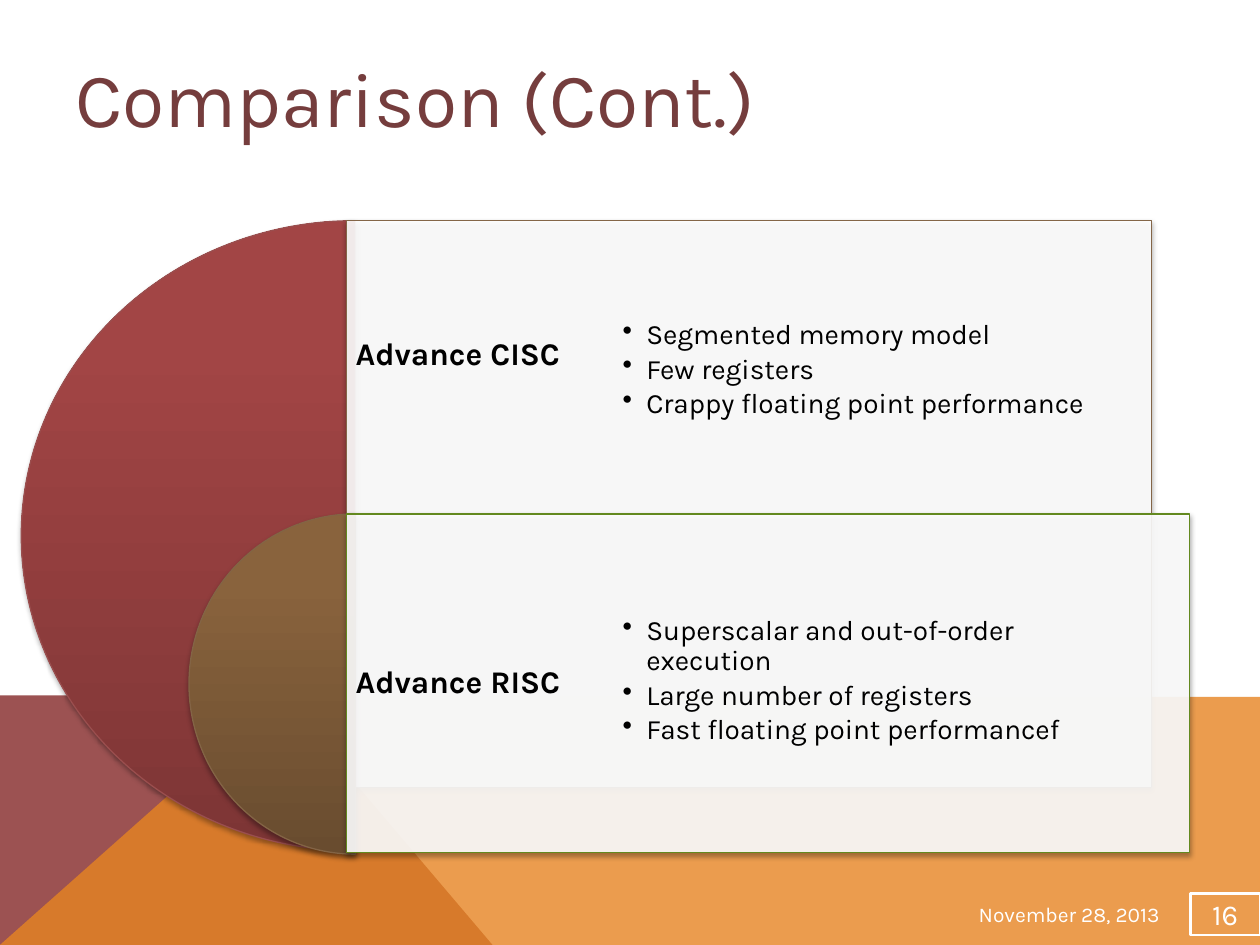
import pptx
import pptx.dml.color
import pptx.enum.shapes
import pptx.enum.text
import pptx.oxml
import pptx.oxml.ns
import pptx.util
from lxml import etree

Cm = pptx.util.Cm
Pt = pptx.util.Pt
RGBColor = pptx.dml.color.RGBColor
MSO_SHAPE = pptx.enum.shapes.MSO_SHAPE
ANCHOR = pptx.enum.text.MSO_ANCHOR
ALIGN = pptx.enum.text.PP_ALIGN
qn = pptx.oxml.ns.qn

WHITE = RGBColor(0xFF, 0xFF, 0xFF)
BLACK = RGBColor(0x00, 0x00, 0x00)
TITLE_RED = RGBColor(0x75, 0x3D, 0x3D)
WINE = RGBColor(0x9C, 0x52, 0x52)
ORANGE = RGBColor(0xE6, 0x84, 0x22)
RED_LINE = RGBColor(0x9A, 0x4E, 0x4E)
BROWN_LINE = RGBColor(0x83, 0x64, 0x45)
CISC_BORDER = RGBColor(0x84, 0x66, 0x48)
RISC_BORDER = RGBColor(0x63, 0x89, 0x1F)
RED_STOPS = ((0, RGBColor(0x7D, 0x35, 0x35)), (80, RGBColor(0xA2, 0x45, 0x45)),
             (100, RGBColor(0xA4, 0x43, 0x43)))
BROWN_STOPS = ((0, RGBColor(0x69, 0x4C, 0x2F)), (80, RGBColor(0x89, 0x63, 0x3D)),
               (100, RGBColor(0x8B, 0x63, 0x3C)))


class SlideBuilder:
    font = "Karla"

    def __init__(self, slide):
        self.shapes = slide.shapes

    def color(self, parent, rgb, opacity=100):
        color = etree.SubElement(parent, qn("a:srgbClr"), val=str(rgb))
        etree.SubElement(color, qn("a:alpha"), val=str(opacity * 1000))

    def solid(self, shape, rgb, opacity):
        shape.fill.solid()
        shape.fill.fore_color.rgb = rgb
        solid_color = shape._element.spPr.find(qn("a:solidFill"))[0]
        etree.SubElement(solid_color, qn("a:alpha"), val=str(opacity * 1000))

    def outline(self, shape, rgb, width):
        shape.line.color.rgb = rgb
        shape.line.width = Pt(width)

    def drop_shadow(self, shape):
        shape.shadow.inherit = False
        effects = shape._element.spPr.find(qn("a:effectLst"))
        shadow = etree.SubElement(
            effects, qn("a:outerShdw"), blurRad=str(Pt(3.1)), dist=str(Pt(1.8)),
            dir="5400000", rotWithShape="0")
        self.color(shadow, BLACK, 35)

    def backdrop(self, points, rgb, opacity=100):
        start, *others = [(Cm(x), Cm(y)) for x, y in points]
        outline = self.shapes.build_freeform(*start)
        outline.add_line_segments(others, close=True)
        shape = outline.convert_to_shape()
        shape.shadow.inherit = False
        shape.line.fill.background()
        self.solid(shape, rgb, opacity)

    def half_disc(self, box, stops, border):
        disc = self.shapes.add_shape(MSO_SHAPE.PIE, *map(Cm, box))
        disc.adjustments[0] = 54
        disc.adjustments[1] = 162
        disc.fill.gradient()
        disc.fill.gradient_angle = 90
        stop_list = disc._element.spPr.find(qn("a:gradFill")).find(qn("a:gsLst"))
        for old_stop in list(stop_list):
            stop_list.remove(old_stop)
        for position, rgb in stops:
            stop = etree.SubElement(stop_list, qn("a:gs"), pos=str(position * 1000))
            self.color(stop, rgb)
        self.outline(disc, border, 0.75)
        self.drop_shadow(disc)

    def panel(self, box, border):
        panel = self.shapes.add_shape(MSO_SHAPE.RECTANGLE, *map(Cm, box))
        self.solid(panel, WHITE, 90)
        self.outline(panel, border, 0.75)
        self.drop_shadow(panel)

    def fill_text(self, shape, lines, size, rgb, bold=False, anchor=ANCHOR.MIDDLE,
                  inset=(0.25, 0.13), align=ALIGN.LEFT, spacing=1.0, bullets=False):
        frame = shape.text_frame
        frame.word_wrap = True
        frame.vertical_anchor = anchor
        frame.margin_left = frame.margin_right = Cm(inset[0])
        frame.margin_top = frame.margin_bottom = Cm(inset[1])
        frame.text = "\n".join(lines)
        for paragraph in frame.paragraphs:
            paragraph.alignment = align
            paragraph.line_spacing = spacing
            if bullets:
                paragraph.space_after = Pt(2.4)
                properties = paragraph._p.get_or_add_pPr()
                properties.set("marL", str(Cm(0.48)))
                properties.set("indent", str(-Cm(0.48)))
                etree.SubElement(properties, qn("a:buChar"), char="•")
            for run in paragraph.runs:
                run.font.name = self.font
                run.font.size = Pt(size)
                run.font.bold = bold
                run.font.color.rgb = rgb

    def text(self, box, lines, size, rgb, **style):
        self.fill_text(self.shapes.add_textbox(*map(Cm, box)), lines, size, rgb, **style)

    def heading(self, box, label):
        self.text(box, [label], 18, BLACK, bold=True, inset=(0.18, 0.18), spacing=0.9)

    def bullet_list(self, box, items):
        self.text(box, items, 16, BLACK, inset=(0.69, 0.69), spacing=0.9, bullets=True)

    def page_number(self, box, number):
        frame = self.shapes.add_shape(MSO_SHAPE.RECTANGLE, *map(Cm, box))
        frame.shadow.inherit = False
        frame.fill.background()
        self.outline(frame, WHITE, 1.5)
        self.fill_text(frame, [number], 16.5, WHITE, inset=(0.03, 0.03),
                       align=ALIGN.CENTER)


def main():
    deck = pptx.Presentation()
    deck.slide_width, deck.slide_height = Cm(25.4), Cm(19.05)
    page = SlideBuilder(deck.slides.add_slide(deck.slide_layouts[6]))

    page.backdrop([(0, 19.05), (0, 14.02), (5.66, 14.02), (9.93, 19.05)], WINE)
    page.backdrop([(0, 19.05), (5.66, 14.02), (25.4, 14.05), (25.4, 19.05)], ORANGE, 80)

    panel_left, cisc_top, risc_top = 6.99, 4.45, 10.36
    page.half_disc((0.43, cisc_top, 13.44, 12.7), RED_STOPS, RED_LINE)
    page.panel((panel_left, cisc_top, 16.23, 11.43), CISC_BORDER)
    page.heading((panel_left, cisc_top, 8.13, 5.44), "Advance CISC")

    page.half_disc((3.81, risc_top, 6.71, 6.86), BROWN_STOPS, BROWN_LINE)
    page.panel((panel_left, risc_top, 16.99, 6.83), RISC_BORDER)
    page.heading((panel_left, risc_top, 8.51, 6.83), "Advance RISC")

    page.bullet_list((11.86, 4.88, 12.07, 5.16), [
        "Segmented memory model", "Few registers", "Crappy floating point performance"])
    page.bullet_list((11.86, 11.15, 11.25, 5.16), [
        "Superscalar and out-of-order execution", "Large number of registers",
        "Fast floating point performancef"])

    page.text((1.27, 0.76, 20.12, 2.62), ["Comparison (Cont.)"], 44, TITLE_RED,
              anchor=ANCHOR.TOP, inset=(0.25, 0.25))
    page.text((19.48, 18.01, 5.92, 0.84), ["November 28, 2013"], 12, WHITE)
    page.page_number((24, 18.01, 1.4, 0.84), "16")
    deck.save("out.pptx")


if __name__ == "__main__":
    main()
